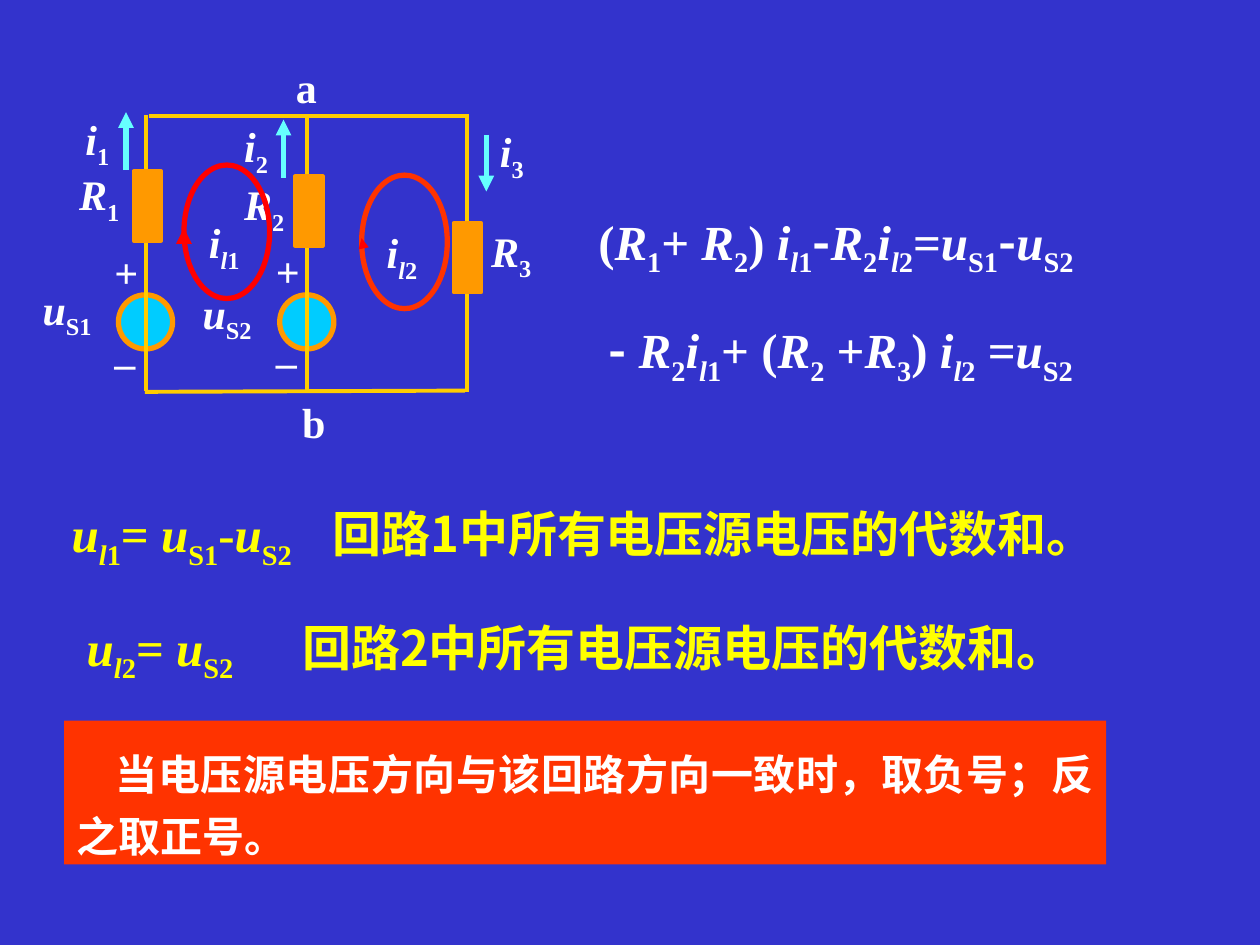
from dataclasses import dataclass

from lxml.etree import SubElement
from pptx import Presentation
from pptx.dml.color import RGBColor
from pptx.enum.shapes import MSO_CONNECTOR as Connector, MSO_SHAPE as Shape
from pptx.enum.text import MSO_ANCHOR as Anchor, PP_ALIGN as Align
from pptx.oxml.ns import qn
from pptx.util import Inches, Pt


@dataclass(frozen=True)
class Theme:
    background: str = "3333CC"
    white: str = "FFFFFF"
    yellow: str = "FFFF00"
    wire: str = "FFCC00"
    resistor: str = "FF9900"
    voltage: str = "00CCFF"
    arrow: str = "66FFFF"
    loop: str = "FF0000"
    note: str = "FF3300"
    latin: str = "Times New Roman"
    chinese: str = "Noto Sans CJK SC"
    label_size: float = 24
    formula_size: float = 28
    wire_width: float = 2.25
    thick: float = 3
    thin: float = 0.75


THEME = Theme()


@dataclass(frozen=True)
class Piece:
    text: str
    italic: bool = False
    lowered: bool = False
    font: str = THEME.latin


def chinese(text):
    return Piece(text, font=THEME.chinese)


def symbol(name, index):
    return [Piece(name, italic=True), Piece(index, lowered=True)]


def loop_symbol(name, index):
    """Quantity of a loop: a slanted l stands before the index."""
    return [Piece(name, italic=True), Piece("l", italic=True, lowered=True),
            Piece(index, lowered=True)]


def rgb(value):
    return RGBColor.from_string(value)


def add_runs(paragraph, pieces, size, color):
    for piece in pieces:
        run = paragraph.add_run()
        run.text = piece.text
        font = run.font
        font.size, font.bold, font.italic = Pt(size), True, piece.italic
        font.color.rgb = rgb(color)
        font.name = piece.font
        properties = run._r.get_or_add_rPr()
        if piece.lowered:
            properties.set("baseline", "-25000")
        if piece.font == THEME.chinese:
            SubElement(properties, qn("a:ea")).set("typeface", piece.font)


def add_text(slide, box, pieces, size=THEME.label_size, color=THEME.white,
             wrap=True, tab=None):
    frame = slide.shapes.add_textbox(*map(Inches, box)).text_frame
    frame.word_wrap = wrap
    paragraph = frame.paragraphs[0]
    if tab is not None:
        stops = SubElement(paragraph._p.get_or_add_pPr(), qn("a:tabLst"))
        stop = SubElement(stops, qn("a:tab"))
        stop.set("pos", str(Inches(tab)))
        stop.set("algn", "l")
    add_runs(paragraph, pieces, size, color)


def add_shape(slide, kind, box, fill=None, line=None, width=THEME.thick):
    shape = slide.shapes.add_shape(kind, *map(Inches, box))
    shape.shadow.inherit = False
    if fill:
        shape.fill.solid()
        shape.fill.fore_color.rgb = rgb(fill)
    else:
        shape.fill.background()
    if line:
        shape.line.color.rgb = rgb(line)
        shape.line.width = Pt(width)
    else:
        shape.line.fill.background()
    return shape


def add_line(slide, start, end, color, width, arrow=False):
    line = slide.shapes.add_connector(
        Connector.STRAIGHT, *map(Inches, (*start, *end)))
    line.line.color.rgb = rgb(color)
    line.line.width = Pt(width)
    if arrow:
        SubElement(line.line._get_or_add_ln(), qn("a:tailEnd")).set("type", "triangle")
    SubElement(line._element.spPr, qn("a:effectLst"))


def add_circuit(slide):
    for left in (0.94, 2.22):
        add_shape(slide, Shape.OVAL, (left, 2.34, 0.43, 0.43),
                  THEME.voltage, THEME.resistor)

    wires = [((1.16, 3.1), (1.16, 0.91)), ((2.44, 3.11), (2.44, 0.93)),
             ((3.71, 0.93), (3.71, 3.11)), ((1.15, 3.11), (3.69, 3.1)),
             ((1.18, 0.92), (3.72, 0.92))]
    for start, end in wires:
        add_line(slide, start, end, THEME.wire, THEME.wire_width)

    for left, top in ((1.06, 1.36), (2.34, 1.4), (3.6, 1.77)):
        add_shape(slide, Shape.RECTANGLE, (left, top, 0.22, 0.55),
                  THEME.resistor, THEME.resistor, THEME.wire_width)

    for x, start, end in ((1, 1.35, 0.89), (2.25, 1.41, 0.95), (3.86, 1.07, 1.52)):
        add_line(slide, (x, start), (x, end), THEME.arrow, THEME.thick, arrow=True)

    labels = [("i", "1", 0.58, 0.85), ("i", "2", 1.84, 0.91), ("i", "3", 3.87, 0.95),
              ("R", "1", 0.53, 1.29), ("R", "2", 1.84, 1.37), ("R", "3", 3.8, 1.74),
              ("u", "S1", 0.24, 2.2), ("u", "S2", 1.51, 2.23)]
    for name, index, left, top in labels:
        add_text(slide, (left, top, 0.8, 0.56), symbol(name, index))

    for sign, left, top in (("+", 0.81, 1.91), ("–", 0.81, 2.62),
                            ("+", 2.09, 1.9), ("–", 2.09, 2.61)):
        add_text(slide, (left, top, 0.41, 0.5), [Piece(sign)])
    for node, left, top in (("a", 2.25, 0.44), ("b", 2.3, 3.1)):
        add_text(slide, (left, top, 0.37, 0.5), [Piece(node)], wrap=False)


def add_loops(slide):
    loops = [("1", 1.46, 1.31, THEME.loop, THEME.thick, 1.46),
             ("2", 2.87, 1.39, THEME.note, THEME.thin, 2.88)]
    for index, left, top, color, arrow_width, arrow_x in loops:
        add_shape(slide, Shape.OVAL, (left, top, 0.68, 1.06), line=color)
        add_text(slide, (left + 0.1, top + 0.36, 0.49, 0.56), loop_symbol("i", index))
        add_line(slide, (arrow_x, top + 0.55), (left, top + 0.5),
                 THEME.loop, arrow_width, arrow=True)


def add_equations(slide):
    minus = chinese("-")
    r1, r2, r3 = (symbol("R", index) for index in "123")
    i1, i2 = (loop_symbol("i", index) for index in "12")
    us1, us2 = symbol("u", "S1"), symbol("u", "S2")

    first = [Piece("("), *r1, Piece("+ "), *r2, Piece(") "), *i1, minus,
             *r2, *i2, Piece("="), *us1, minus, *us2]
    second = [minus, Piece(" "), *r2, *i1, Piece("+ ("), *r2, Piece(" +"), *r3,
              Piece(") "), *i2, Piece(" ="), *us2]
    add_text(slide, (4.65, 1.63, 4.33, 0.63), first, THEME.formula_size)
    add_text(slide, (4.73, 2.49, 4.49, 0.63), second, THEME.formula_size)

    sums = [("1", [*us1, Piece("-"), *us2], (0.47, 3.95, 8.98, 0.63), 2.07),
            ("2", us2, (0.59, 4.85, 8.7, 0.63), 1.71)]
    for index, voltages, box, tab in sums:
        meaning = chinese(f"回路{index}中所有电压源电压的代数和。")
        add_text(slide, box,
                 [*loop_symbol("u", index), Piece("= "), *voltages, Piece("\t"), meaning],
                 THEME.formula_size, THEME.yellow, tab=tab)


def add_note(slide):
    note = add_shape(slide, Shape.RECTANGLE, (0.51, 5.72, 8.27, 1.14), THEME.note)
    frame = note.text_frame
    frame.word_wrap = True
    frame.vertical_anchor = Anchor.TOP
    frame.margin_top = Inches(0.13)
    paragraph = frame.paragraphs[0]
    paragraph.alignment = Align.JUSTIFY
    paragraph.line_spacing = Pt(35.5)
    paragraph._p.get_or_add_pPr().set("indent", str(Inches(0.31)))
    text = "当电压源电压方向与该回路方向一致时，取负号；反之取正号。"
    add_runs(paragraph, [chinese(text)], THEME.label_size, THEME.white)


def main():
    presentation = Presentation()
    presentation.slide_width, presentation.slide_height = Inches(10), Inches(7.5)
    slide = presentation.slides.add_slide(presentation.slide_layouts[6])
    slide.background.fill.solid()
    slide.background.fill.fore_color.rgb = rgb(THEME.background)
    add_equations(slide)
    add_note(slide)
    add_circuit(slide)
    add_loops(slide)
    presentation.save("out.pptx")


if __name__ == "__main__":
    main()
